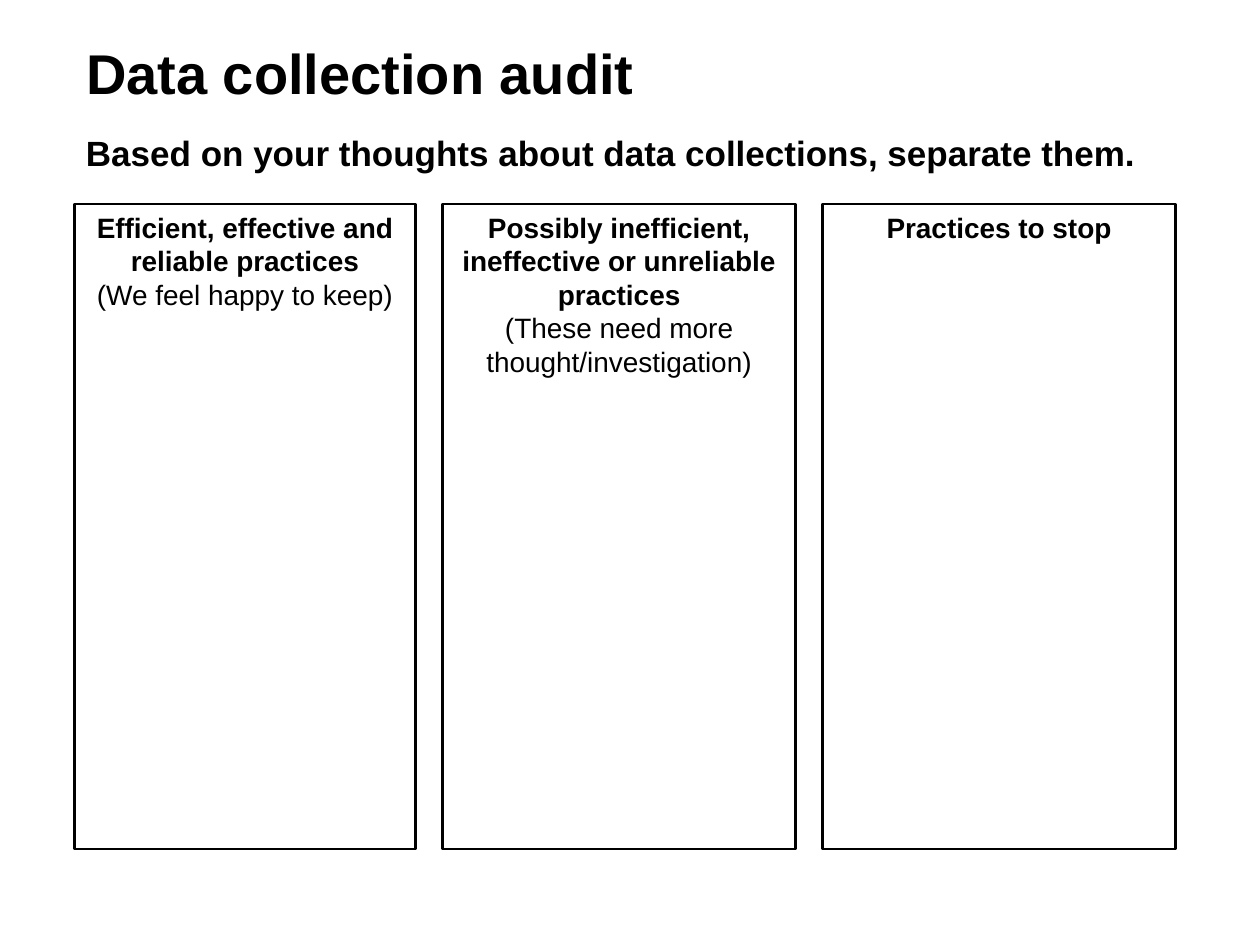
import pptx
import pptx.dml.color
import pptx.enum.shapes
import pptx.enum.text
import pptx.util

Pt = pptx.util.Pt
ALIGN = pptx.enum.text.PP_ALIGN
ANCHOR = pptx.enum.text.MSO_ANCHOR

TITLE = "Data collection audit"
INSTRUCTION = "Based on your thoughts about data collections, separate them."
# Each column: width, heading, optional note
COLUMNS = [
    (195, "Efficient, effective and reliable practices", "(We feel happy to keep)"),
    (201.6, "Possibly inefficient, ineffective or unreliable practices",
     "(These need more thought/investigation)"),
    (201.6, "Practices to stop", None),
]

COLORS = {"ink": "000000"}
FONT = "Arial"
COLUMN_LEFT, COLUMN_TOP, COLUMN_HEIGHT, COLUMN_GAP = 42.5, 116.6, 368.6, 15.5


def ink():
    return pptx.dml.color.RGBColor.from_string(COLORS["ink"])


def write(shape, lines, size, alignment, anchor):
    """Fill a shape with (text, bold) lines."""
    frame = shape.text_frame
    frame.word_wrap = True
    frame.auto_size = pptx.enum.text.MSO_AUTO_SIZE.NONE
    frame.vertical_anchor = anchor
    frame.text = "\n".join(text for text, bold in lines)
    for paragraph, (text, bold) in zip(frame.paragraphs, lines):
        paragraph.alignment = alignment
        font = paragraph.runs[0].font
        font.name, font.size, font.bold = FONT, Pt(size), bold
        font.color.rgb = ink()


presentation = pptx.Presentation()
presentation.slide_width, presentation.slide_height = Pt(720), Pt(540)
slide = presentation.slides.add_slide(presentation.slide_layouts[5])

# Title
title = slide.shapes.title
title.left, title.top, title.width, title.height = Pt(42), Pt(16), Pt(624), Pt(51)
write(title, [(TITLE, True)], 32, ALIGN.LEFT, ANCHOR.MIDDLE)

# Instruction
instruction = slide.shapes.add_textbox(Pt(42), Pt(71.5), Pt(636), Pt(76))
write(instruction, [(INSTRUCTION, True)], 20, ALIGN.LEFT, ANCHOR.TOP)

# Columns
left = COLUMN_LEFT
for width, heading, note in COLUMNS:
    column = slide.shapes.add_shape(
        pptx.enum.shapes.MSO_SHAPE.RECTANGLE,
        Pt(left), Pt(COLUMN_TOP), Pt(width), Pt(COLUMN_HEIGHT))
    column.shadow.inherit = False
    column.fill.background()
    column.line.color.rgb = ink()
    column.line.width = Pt(1.5)
    lines = [(heading, True)] + ([(note, False)] if note else [])
    write(column, lines, 16, ALIGN.CENTER, ANCHOR.TOP)
    left += width + COLUMN_GAP

presentation.save("out.pptx")
